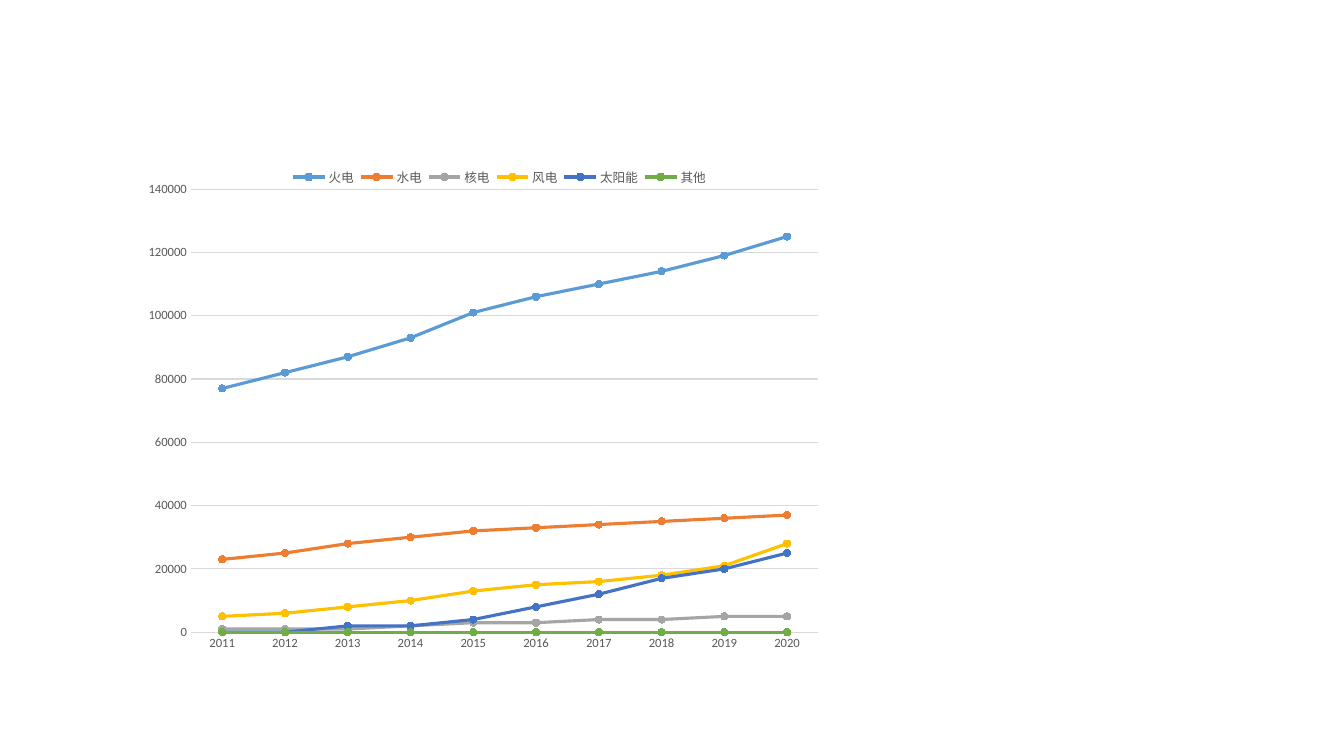
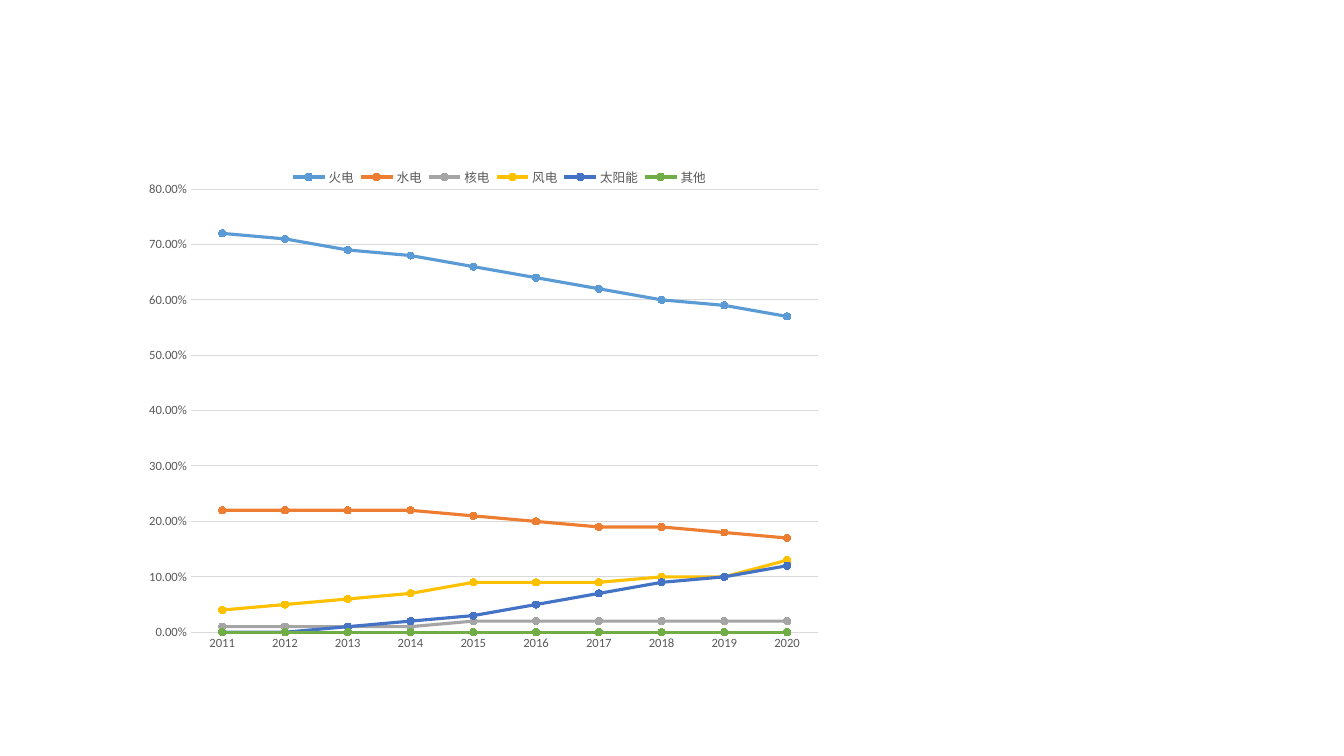
from lxml.etree import SubElement
from pptx import Presentation
from pptx.chart.data import CategoryChartData
from pptx.dml.color import RGBColor
from pptx.enum.chart import (XL_CHART_TYPE, XL_LEGEND_POSITION as LEGEND,
                             XL_MARKER_STYLE as MARKER, XL_TICK_MARK as TICK)
from pptx.oxml import parse_xml
from pptx.oxml.ns import nsdecls, qn
from pptx.util import Inches, Pt

COLORS = {
    "text": "595959", "grid": "D9D9D9", "base": "000000",
    "火电": "5B9BD5", "水电": "ED7D31", "核电": "A5A5A5",
    "风电": "FFC000", "太阳能": "4472C4", "其他": "70AD47",
}
FONT = "Calibri"
YEARS = [str(year) for year in range(2011, 2021)]
CHART_BOX = (1.38, 1.6, 6.94, 5.21)
PLOT_AREA = (0.074, 0.053, 0.897, 0.844)
LEGEND_AREA = (0.21, 0.01, 0.61, 0.04)

CAPACITY = {
    "火电": [77000, 82000, 87000, 93000, 101000, 106000, 110000, 114000, 119000, 125000],
    "水电": [23000, 25000, 28000, 30000, 32000, 33000, 34000, 35000, 36000, 37000],
    "核电": [1000, 1000, 1000, 2000, 3000, 3000, 4000, 4000, 5000, 5000],
    "风电": [5000, 6000, 8000, 10000, 13000, 15000, 16000, 18000, 21000, 28000],
    "太阳能": [0, 0, 2000, 2000, 4000, 8000, 12000, 17000, 20000, 25000],
    "其他": [0] * 10,
}
SHARE = {
    "火电": [0.72, 0.71, 0.69, 0.68, 0.66, 0.64, 0.62, 0.6, 0.59, 0.57],
    "水电": [0.22, 0.22, 0.22, 0.22, 0.21, 0.2, 0.19, 0.19, 0.18, 0.17],
    "核电": [0.01, 0.01, 0.01, 0.01, 0.02, 0.02, 0.02, 0.02, 0.02, 0.02],
    "风电": [0.04, 0.05, 0.06, 0.07, 0.09, 0.09, 0.09, 0.1, 0.1, 0.13],
    "太阳能": [0, 0, 0.01, 0.02, 0.03, 0.05, 0.07, 0.09, 0.1, 0.12],
    "其他": [0] * 10,
}


def rgb(name):
    """Return the named colour."""
    return RGBColor.from_string(COLORS[name])


def set_font(font, size, color):
    """Apply the shared typeface with a size and colour."""
    font.name, font.size = FONT, Pt(size)
    font.color.rgb = rgb(color)


def set_line(line, color, width):
    """Give a line its colour and width."""
    line.color.rgb, line.width = rgb(color), Pt(width)


def set_layout(parent, index, area, inner=False):
    """Place a chart part by fractions of the chart's size."""
    for old in parent.findall(qn("c:layout")):
        parent.remove(old)
    layout = parse_xml(f"<c:layout {nsdecls('c')}><c:manualLayout/></c:layout>")
    settings = [("layoutTarget", "inner")] if inner else []
    settings += [("xMode", "edge"), ("yMode", "edge"), *zip("xywh", area)]
    for tag, value in settings:
        SubElement(layout[0], qn(f"c:{tag}")).set("val", str(value))
    parent.insert(index, layout)


def style_axes(chart, top, step, number_format):
    """Style both axes and scale the value axis."""
    for axis in (chart.category_axis, chart.value_axis):
        axis.major_tick_mark = axis.minor_tick_mark = TICK.NONE
        set_font(axis.tick_labels.font, 9, "text")
    set_line(chart.category_axis.format.line, "grid", 0.75)
    values = chart.value_axis
    values.minimum_scale, values.maximum_scale, values.major_unit = 0, top, step
    values.format.line.fill.background()
    set_line(values.major_gridlines.format.line, "grid", 0.75)
    values.tick_labels.number_format = number_format
    values.tick_labels.number_format_is_linked = False


def style_series(series):
    """Colour a series and its round markers."""
    set_line(series.format.line, series.name, 2.25)
    series.smooth = False
    marker = series.marker
    marker.style, marker.size = MARKER.CIRCLE, 5
    marker.format.fill.solid()
    marker.format.fill.fore_color.rgb = rgb(series.name)
    set_line(marker.format.line, series.name, 0.75)


def add_energy_chart(s, box, table, top, step, number_format):
    """Draw one line per energy source in the given box."""
    data = CategoryChartData(number_format=number_format)
    data.categories = YEARS
    for name, values in table.items():
        data.add_series(name, values)
    frame = s.shapes.add_chart(XL_CHART_TYPE.LINE_MARKERS, *map(Inches, box), data)
    chart = frame.chart
    chart.has_title = False
    set_font(chart.font, 10, "base")
    chart.plots[0].vary_by_categories = False
    for series in chart.plots[0].series:
        style_series(series)
    style_axes(chart, top, step, number_format)
    chart.has_legend = True
    legend = chart.legend
    legend.position, legend.include_in_layout = LEGEND.BOTTOM, False
    set_font(legend.font, 9, "text")
    set_layout(legend._element, 1, LEGEND_AREA)
    plot_area = chart._chartSpace.find(f".//{qn('c:plotArea')}")
    set_layout(plot_area, 0, PLOT_AREA, inner=True)


def main():
    """Build the capacity and share slides."""
    prs = Presentation()
    prs.slide_width, prs.slide_height = Inches(13.33), Inches(7.5)
    for args in ((CAPACITY, 140000, 20000, "General"), (SHARE, 0.8, 0.1, "0.00%")):
        s = prs.slides.add_slide(prs.slide_layouts[6])
        add_energy_chart(s, CHART_BOX, *args)
    prs.save("out.pptx")


if __name__ == "__main__":
    main()
